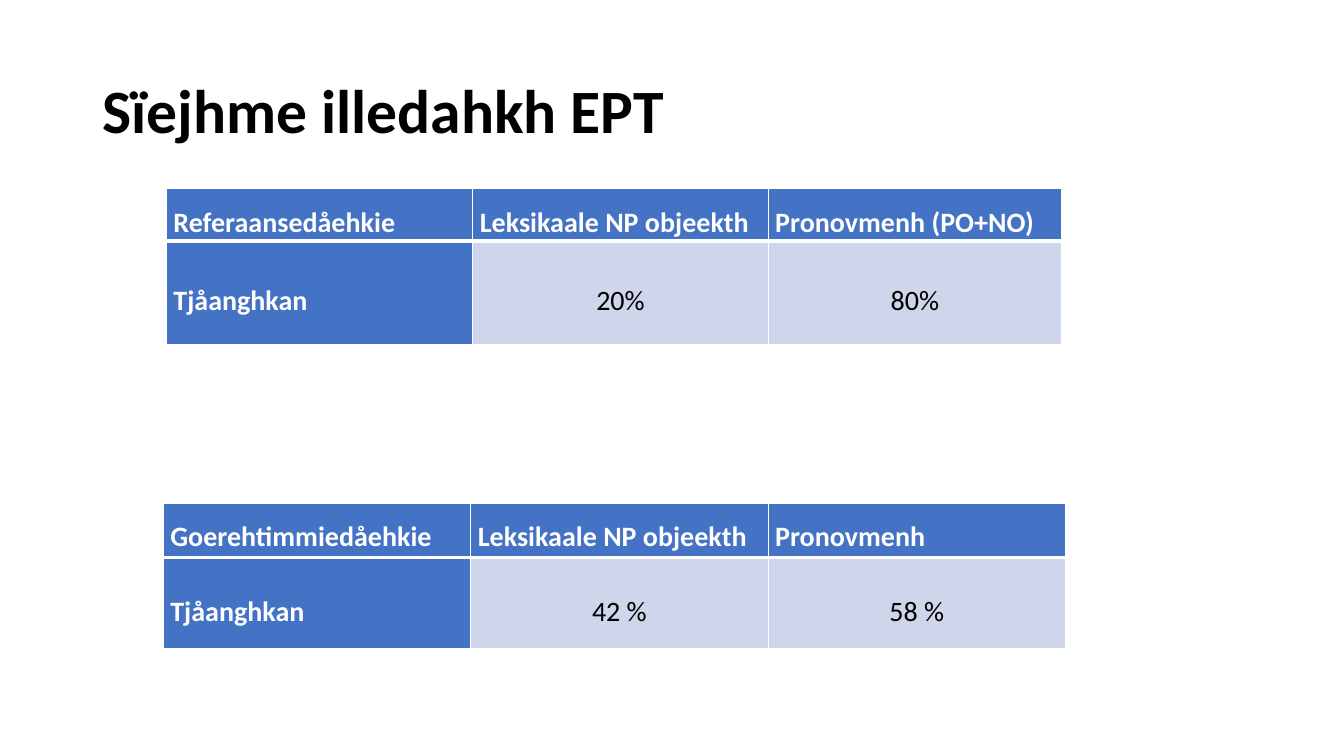
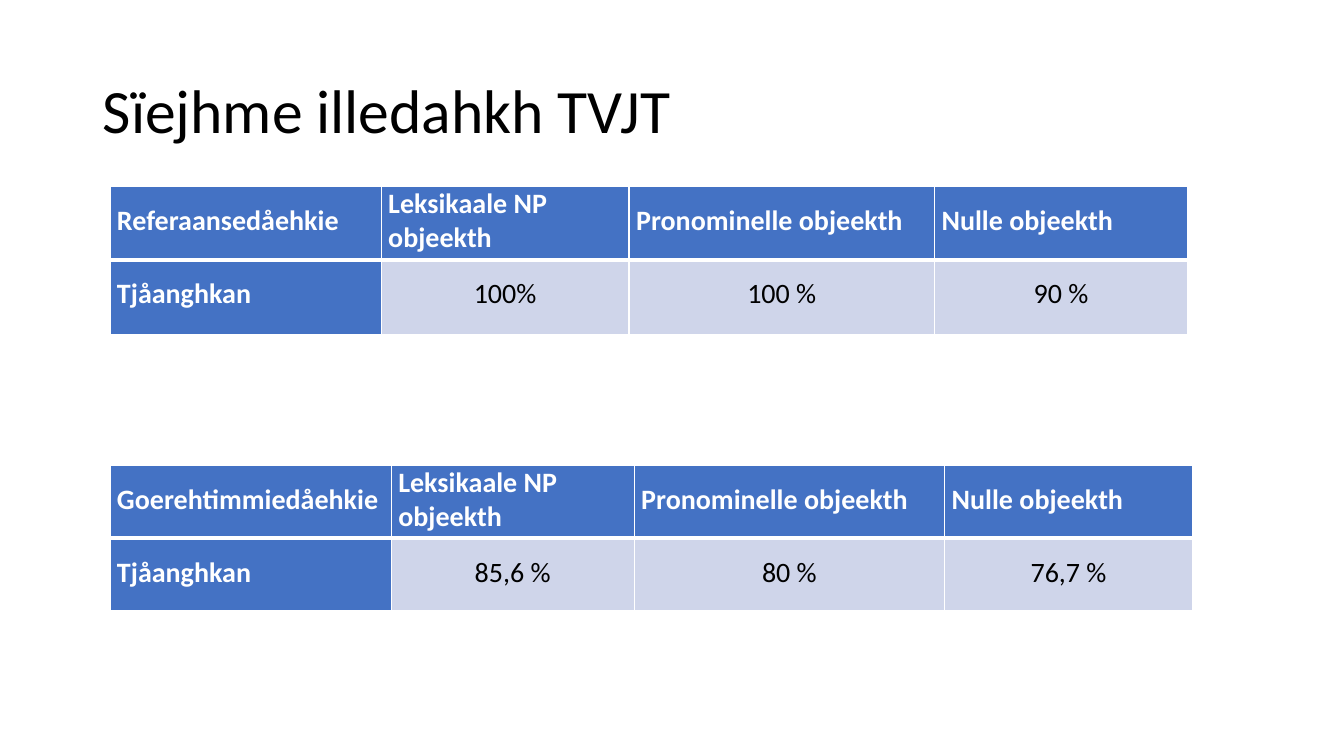
from dataclasses import dataclass

from lxml import etree
from pptx import Presentation, util as u
from pptx.dml.color import RGBColor
from pptx.enum import text as t
from pptx.oxml import ns

FONT = "Calibri"
BLUE, PALE, WHITE, BLACK = "4472C4", "CFD5EA", "FFFFFF", "000000"
LEFT, MID, JUST = t.PP_ALIGN.LEFT, t.PP_ALIGN.CENTER, t.PP_ALIGN.JUSTIFY
WIDE, HIGH = u.Inches(13.33), u.Inches(7.5)


@dataclass
class Grid:
    left: float
    top: float
    cols: list[float]
    rows: list[float]
    cells: list[list[str]]
    first: t.PP_ALIGN = LEFT


@dataclass
class Page:
    title: str
    bold: bool
    grids: list[Grid]
    anchor: t.MSO_ANCHOR
    before: float = 0
    tight: int | None = None


def across(share: float) -> int:
    return round(WIDE * share / 100)


def down(share: float) -> int:
    return round(HIGH * share / 100)


def hue(code: str) -> RGBColor:
    return RGBColor.from_string(code)


def write(frame, words: str, *, size: float = 20, color: str = BLACK,
          bold: bool = False, align=LEFT, space: float = 1.5, before: float = 0) -> None:
    para = frame.paragraphs[0]
    para.alignment, para.line_spacing = align, space
    para.space_before = u.Pt(before)
    run = para.add_run()
    run.text = words
    font = run.font
    font.name, font.size, font.bold = FONT, u.Pt(size), bold
    font.color.rgb = hue(color)


def edge(cell, head: bool) -> None:
    props = cell._tc.get_or_add_tcPr()
    thick = "B" if head else "T"
    for side in "LRTB":
        width = u.Pt(3 if side == thick else 1)
        line = etree.SubElement(props, ns.qn(f"a:ln{side}"), w=str(width))
        fill = etree.SubElement(line, ns.qn("a:solidFill"))
        etree.SubElement(fill, ns.qn("a:srgbClr"), val=WHITE)


def draw(slide, page: Page, grid: Grid) -> None:
    frame = slide.shapes.add_table(
        len(grid.rows), len(grid.cols), across(grid.left), down(grid.top),
        across(sum(grid.cols)), down(sum(grid.rows)))
    table = frame.table
    table.first_row = table.horz_banding = False
    for col, share in zip(table.columns, grid.cols):
        col.width = across(share)
    for row, share in zip(table.rows, grid.rows):
        row.height = down(share)
    for r, line in enumerate(grid.cells):
        for c, words in enumerate(line):
            cell = table.cell(r, c)
            head = r == 0
            label = head or c == 0
            edge(cell, head)
            cell.fill.solid()
            cell.fill.fore_color.rgb = hue(BLUE if label else PALE)
            cell.margin_left = cell.margin_right = u.Inches(0.07)
            cell.margin_top = cell.margin_bottom = 0
            cell.vertical_anchor = t.MSO_ANCHOR.TOP if head else page.anchor
            write(cell.text_frame, words,
                  color=WHITE if label else BLACK, bold=label,
                  align=grid.first if c == 0 else LEFT if head else MID,
                  space=1.0 if head and c == page.tight else 1.5,
                  before=0 if head else page.before)


def build(deck, page: Page) -> None:
    slide = deck.slides.add_slide(deck.slide_layouts[5])
    title = slide.shapes.title
    title.left, title.top = across(6.9), down(5.33)
    title.width, title.height = across(86.25), down(19.33)
    frame = title.text_frame
    frame.word_wrap = True
    frame.auto_size = t.MSO_AUTO_SIZE.NONE
    frame.vertical_anchor = t.MSO_ANCHOR.MIDDLE
    write(frame, page.title, size=44, bold=page.bold, space=0.9)
    for grid in page.grids:
        draw(slide, page, grid)


REF, TEST, SUM = "Referaansedåehkie", "Goerehtimmiedåehkie", "Tjåanghkan"
NOUN = "Leksikaale NP objeekth"
KINDS = [NOUN, "Pronominelle objeekth", "Nulle objeekth"]

PAGES = [
    Page("Sïejhme illedahkh EPT", True, [
        Grid(12.38, 24.93, [22.8, 21.98, 21.83], [6.93, 13.73],
             [[REF, NOUN, "Pronovmenh (PO+NO)"], [SUM, "20%", "80%"]]),
        Grid(12.15, 66.53, [22.88, 22.13, 22.13], [7.2, 12.13],
             [[TEST, NOUN, "Pronovmenh"], [SUM, "42 %", "58 %"]]),
    ], t.MSO_ANCHOR.MIDDLE),
    Page("Sïejhme illedahkh TVJT", False, [
        Grid(8.18, 61.6, [20.93, 18.08, 23.1, 18.45], [9.6, 9.6],
             [[TEST, *KINDS], [SUM, "85,6 %", "80 %", "76,7 %"]]),
        Grid(8.18, 24.67, [20.18, 18.45, 22.73, 18.83], [9.73, 9.87],
             [[REF, *KINDS], [SUM, "100%", "100 %", "90 %"]], JUST),
    ], t.MSO_ANCHOR.TOP, before=6, tight=1),
]


def main() -> None:
    deck = Presentation()
    deck.slide_width, deck.slide_height = WIDE, HIGH
    for page in PAGES:
        build(deck, page)
    deck.save("out.pptx")


if __name__ == "__main__":
    main()
